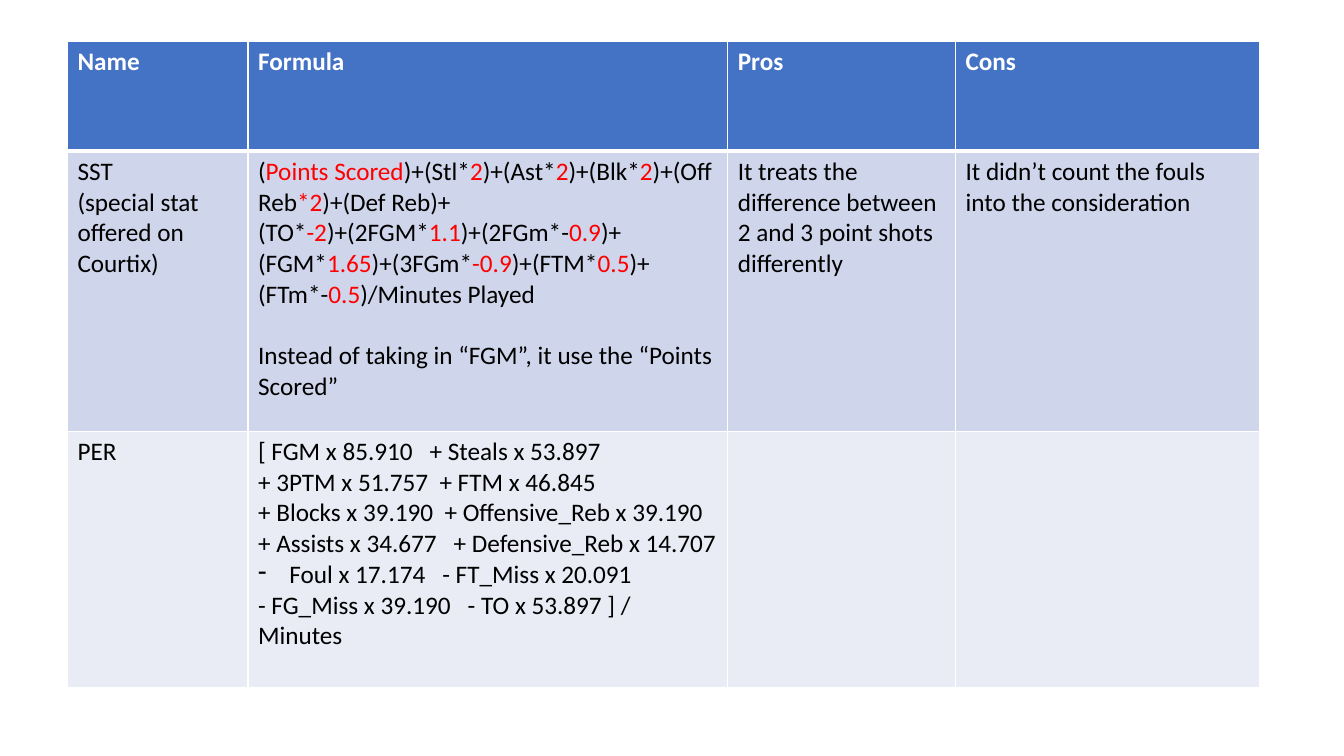
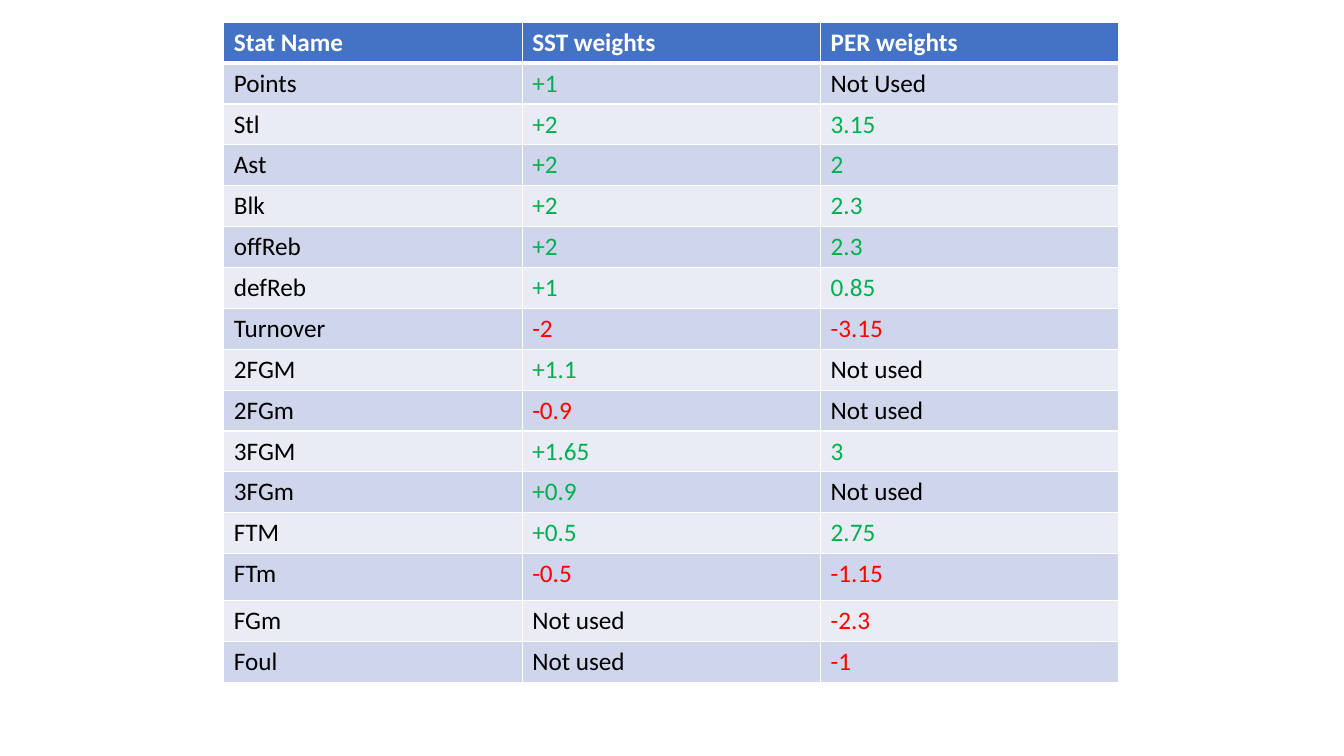
import pptx
import pptx.dml.color
import pptx.oxml
import pptx.oxml.ns
import pptx.util
import lxml.etree

Cm = pptx.util.Cm
Pt = pptx.util.Pt
RGBColor = pptx.dml.color.RGBColor

WHITE = RGBColor(0xFF, 0xFF, 0xFF)
BLACK = RGBColor(0x00, 0x00, 0x00)
RED = RGBColor(0xFF, 0x00, 0x00)
GREEN = RGBColor(0x00, 0xB0, 0x50)
HEADER_BLUE = RGBColor(0x44, 0x72, 0xC4)
BAND_DARK = RGBColor(0xCF, 0xD5, 0xEA)
BAND_LIGHT = RGBColor(0xE9, 0xEB, 0xF5)
FONT_NAME = "Calibri"
FONT_SIZE = Pt(18)
BLANK_LAYOUT = 6

SST_FORMULA = (
    "(|Points Scored|)+(Stl*|2|)+(Ast*|2|)+(Blk*|2|)+(Off Reb|*2|)+(Def Reb)+(TO*|-2|"
    ")+(2FGM*|1.1|)+(2FGm*-|0.9|)+(FGM*|1.65|)+(3FGm*|-0.9|)+(FTM*|0.5|)+(FTm*-|0.5|"
    ")/Minutes Played"
)
FORMULA_ROWS = [
    ["Name", "Formula", "Pros", "Cons"],
    [
        "SST\n(special stat offered on Courtix)",
        SST_FORMULA + "\nInstead of taking in “FGM”, it use the “Points Scored”",
        "It treats the difference between 2 and 3 point shots\ndifferently",
        "It didn’t count the fouls into the consideration",
    ],
    [
        "PER",
        "[ FGM x 85.910   + Steals x 53.897\n"
        "+ 3PTM x 51.757  + FTM x 46.845\n"
        "+ Blocks x 39.190  + Offensive_Reb x 39.190\n"
        "+ Assists x 34.677   + Defensive_Reb x 14.707\n"
        "Foul x 17.174   - FT_Miss x 20.091\n"
        "- FG_Miss x 39.190   - TO x 53.897 ] / Minutes",
        "",
        "",
    ],
]
WEIGHT_ROWS = [
    ["Stat Name", "SST weights", "PER weights"],
    ["Points", "+1", "Not Used"],
    ["Stl", "+2", "3.15"],
    ["Ast", "+2", "2"],
    ["Blk", "+2", "2.3"],
    ["offReb", "+2", "2.3"],
    ["defReb", "+1", "0.85"],
    ["Turnover", "-2", "-3.15"],
    ["2FGM", "+1.1", "Not used"],
    ["2FGm", "-0.9", "Not used"],
    ["3FGM", "+1.65", "3"],
    ["3FGm", "+0.9", "Not used"],
    ["FTM", "+0.5", "2.75"],
    ["FTm", "-0.5", "-1.15"],
    ["FGm", "Not used", "-2.3"],
    ["Foul", "Not used", "-1"],
]


def set_borders(cell, top, bottom):
    properties = cell._tc.get_or_add_tcPr()
    widths = {"lnL": 1, "lnR": 1, "lnT": top, "lnB": bottom}
    for position, (side, width) in enumerate(widths.items()):
        line = pptx.oxml.parse_xml(
            f'<a:{side} {pptx.oxml.ns.nsdecls("a")} w="{Pt(width)}">'
            f'<a:solidFill><a:srgbClr val="{WHITE}"/></a:solidFill></a:{side}>'
        )
        properties.insert(position, line)


def set_dash_bullet(para, indent):
    properties = para._p.get_or_add_pPr()
    properties.set("marL", str(indent))
    properties.set("indent", str(-indent))
    bullet = lxml.etree.SubElement(properties, pptx.oxml.ns.qn("a:buChar"))
    bullet.set("char", "-")


def style_cell(cell, row_index):
    is_header = row_index == 0
    band = BAND_DARK if row_index % 2 else BAND_LIGHT
    cell.fill.solid()
    cell.fill.fore_color.rgb = HEADER_BLUE if is_header else band
    set_borders(cell, top=3 if row_index == 1 else 1, bottom=3 if is_header else 1)
    for para in cell.text_frame.paragraphs:
        para.font.size = FONT_SIZE
        for span in para.runs:
            span.font.name = FONT_NAME
            span.font.size = FONT_SIZE
            span.font.bold = is_header
            span.font.color.rgb = WHITE if is_header else BLACK


def add_grid(page, rows, left, top, widths, heights):
    frame = page.shapes.add_table(
        len(rows), len(widths), Cm(left), Cm(top), Cm(sum(widths)), Cm(sum(heights))
    )
    table = frame.table
    for column, width in zip(table.columns, widths):
        column.width = Cm(width)
    for row_index, (row, height) in enumerate(zip(table.rows, heights)):
        row.height = Cm(height)
        for cell, text in zip(row.cells, rows[row_index]):
            cell.text_frame.text = text
            style_cell(cell, row_index)
    return table


def highlight_marked(para):
    parts = para.text.split("|")
    para.text = ""
    for index, part in enumerate(parts):
        span = para.add_run()
        span.text = part
        span.font.name = FONT_NAME
        span.font.size = FONT_SIZE
        span.font.bold = False
        span.font.color.rgb = RED if index % 2 else BLACK


def weight_color(text):
    if text.startswith("Not"):
        return BLACK
    return RED if text.startswith("-") else GREEN


def add_formula_page(deck):
    page = deck.slides.add_slide(deck.slide_layouts[BLANK_LAYOUT])
    table = add_grid(
        page, FORMULA_ROWS, 1.7, 1.04, [4.55, 12.09, 5.74, 7.67], [2.77, 7.06, 6.45]
    )
    formula, remark = table.cell(1, 1).text_frame.paragraphs
    highlight_marked(formula)
    remark.space_before = Pt(22)
    set_dash_bullet(table.cell(2, 1).text_frame.paragraphs[4], Cm(0.79))


def add_weights_page(deck):
    page = deck.slides.add_slide(deck.slide_layouts[BLANK_LAYOUT])
    heights = [1.19 if row[0] == "FTm" else 1.03 for row in WEIGHT_ROWS]
    table = add_grid(page, WEIGHT_ROWS, 5.64, 0.56, [7.52] * 3, heights)
    for row in list(table.rows)[1:]:
        for cell in list(row.cells)[1:]:
            span = cell.text_frame.paragraphs[0].runs[0]
            span.font.color.rgb = weight_color(span.text)


def main():
    deck = pptx.Presentation()
    deck.slide_width = Cm(33.87)
    deck.slide_height = Cm(19.05)
    add_formula_page(deck)
    add_weights_page(deck)
    deck.save("out.pptx")


if __name__ == "__main__":
    main()
